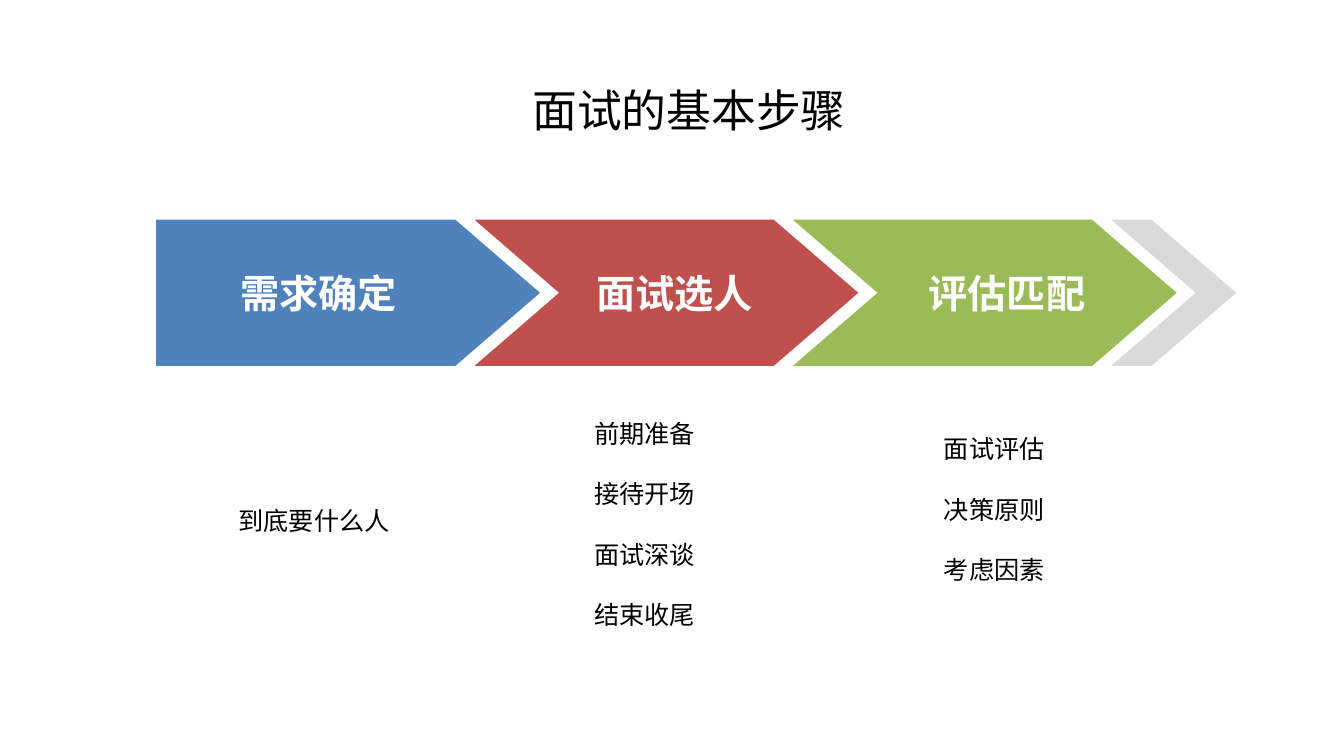
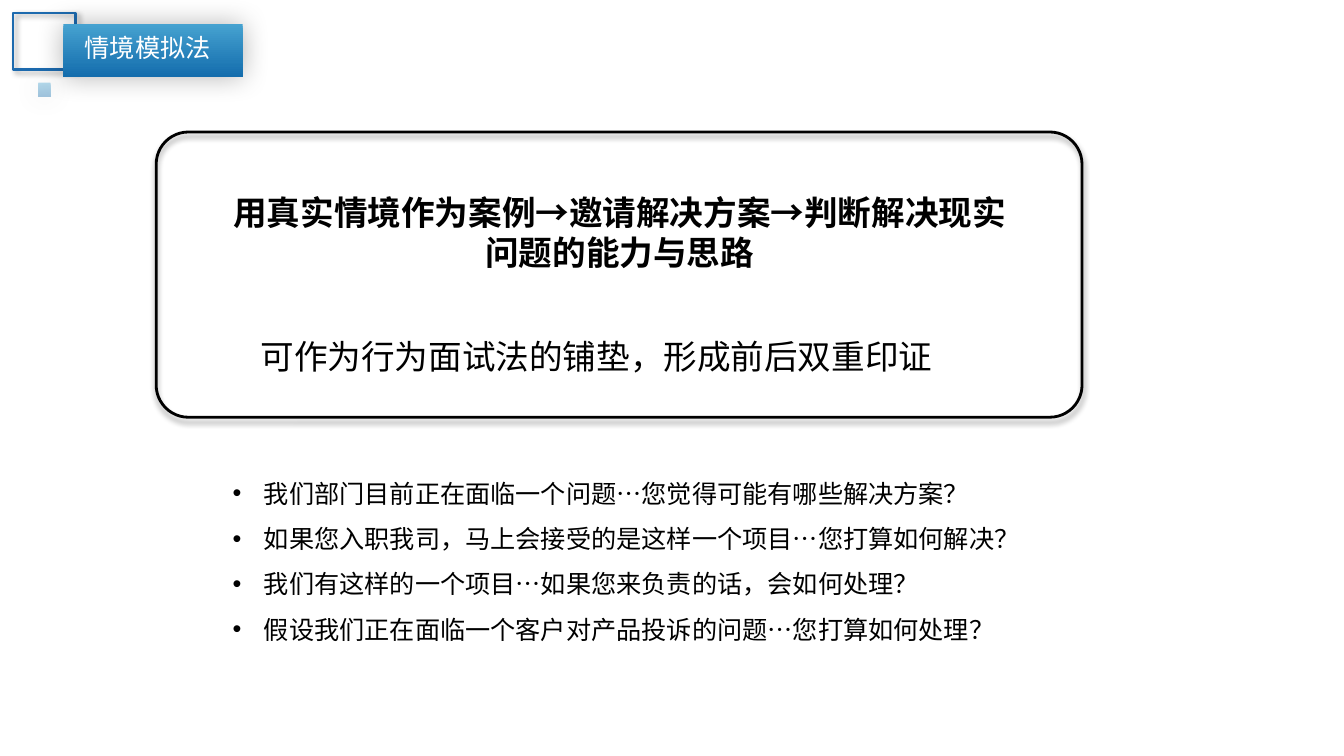
from dataclasses import dataclass

from lxml.etree import SubElement
from pptx import Presentation
from pptx.dml.color import RGBColor
from pptx.enum.lang import MSO_LANGUAGE_ID
from pptx.enum.shapes import MSO_SHAPE
from pptx.enum.text import MSO_ANCHOR, MSO_AUTO_SIZE, PP_ALIGN
from pptx.oxml.ns import qn
from pptx.util import Inches, Pt


@dataclass(frozen=True)
class Theme:
    font: str = "Noto Sans CJK SC"
    label_font: str = "Arial"
    ink: str = "000000"
    white: str = "FFFFFF"
    tail: str = "D9D9D9"
    outline: str = "1D6AAE"
    gradient: tuple = ("46A2D0", "146DAD")
    title_size: int = 32
    label_size: int = 28
    statement_size: int = 24
    body_size: int = 18


@dataclass(frozen=True)
class Step:
    label: str
    color: str
    details: tuple
    label_offset: float
    detail_box: tuple  # offset from the arrow's left and top, width, height


THEME = Theme()
TITLE_ONLY, TITLE_AND_CONTENT = 5, 1
STEPS = (
    Step("需求确定", "4F81BD", ("到底要什么人",), 0.73, (0.72, 2.48, 1.72, 0.71)),
    Step("面试选人", "C0504D", ("前期准备", "接待开场", "面试深谈", "结束收尾"),
         1.1, (1.09, 1.62, 1.34, 2.43)),
    Step("评估匹配", "9BBB59", ("面试评估", "决策原则", "考虑因素"),
         1.24, (1.4, 1.77, 1.34, 1.83)),
)
QUESTIONS = (
    "我们部门目前正在面临一个问题…您觉得可能有哪些解决方案？",
    "如果您入职我司，马上会接受的是这样一个项目…您打算如何解决？",
    "我们有这样的一个项目…如果您来负责的话，会如何处理？",
    "假设我们正在面临一个客户对产品投诉的问题…您打算如何处理？",
)


def inches(*values):
    return [Inches(value) for value in values]


def place(shape, left, top, width, height):
    shape.left, shape.top, shape.width, shape.height = inches(left, top, width, height)


def add_bullet(para, indent=0.31):
    properties = para._p.get_or_add_pPr()
    properties.set("marL", str(Inches(indent)))
    properties.set("indent", str(-Inches(indent)))
    SubElement(properties, qn("a:buFont")).set("typeface", "Arial")
    SubElement(properties, qn("a:buChar")).set("char", "•")


def write_text(box, *lines, size=THEME.body_size, color=THEME.ink, font=THEME.font,
               bold=False, align=PP_ALIGN.LEFT, spacing=1.0, bullets=False,
               anchor=MSO_ANCHOR.TOP):
    frame = box.text_frame
    frame.word_wrap = True
    frame.auto_size = MSO_AUTO_SIZE.NONE
    frame.vertical_anchor = anchor
    for index, line in enumerate(lines):
        para = frame.add_paragraph() if index else frame.paragraphs[0]
        para.alignment = align
        para.line_spacing = spacing
        para.space_before = Pt(0)
        if bullets:
            add_bullet(para)
        span = para.add_run()
        span.text = line
        span.font.name = font
        span.font.size = Pt(size)
        span.font.bold = bold
        span.font.color.rgb = RGBColor.from_string(color)
        span.font.language_id = MSO_LANGUAGE_ID.SIMPLIFIED_CHINESE
        SubElement(span.font._element, qn("a:ea")).set("typeface", THEME.font)


def add_text(page, area, *lines, **style):
    write_text(page.shapes.add_textbox(*inches(*area)), *lines, **style)


def add_shadow(shape, opacity, blur, distance=0, angle=0):
    """Opacity in percent, blur and distance in points, angle in degrees."""
    shape.shadow.inherit = False
    effects = shape.element.spPr.find(qn("a:effectLst"))
    shadow = SubElement(effects, qn("a:outerShdw"), blurRad=str(Pt(blur)),
                        dist=str(Pt(distance)), dir=str(angle * 60000),
                        algn="ctr", rotWithShape="0")
    tone = SubElement(shadow, qn("a:srgbClr"), val=THEME.ink)
    SubElement(tone, qn("a:alpha"), val=str(opacity * 1000))


def add_frame(page, kind, area, color):
    frame = page.shapes.add_shape(kind, *inches(*area))
    frame.fill.background()
    frame.line.color.rgb = RGBColor.from_string(color)
    frame.line.width = Pt(2)
    return frame


def add_gradient_block(page, area, opacity=100):
    block = page.shapes.add_shape(MSO_SHAPE.RECTANGLE, *inches(*area))
    block.line.fill.background()
    block.fill.gradient()
    block.fill.gradient_angle = 270
    for stop, color in zip(block.fill.gradient_stops, THEME.gradient):
        stop.color.rgb = RGBColor.from_string(color)
    if opacity < 100:
        for tone in block.element.spPr.find(qn("a:gradFill")).iter(qn("a:srgbClr")):
            SubElement(tone, qn("a:alpha"), val=str(opacity * 1000))
    add_shadow(block, 30, 20)


def add_arrow(page, left, top, width, height, color, notched=True, point=0.84):
    right, middle, bottom = left + width, top + height / 2, top + height
    corners = [(right - point, top), (right, middle), (right - point, bottom), (left, bottom)]
    if notched:
        corners.append((left + point, middle))
    builder = page.shapes.build_freeform(*inches(left, top))
    builder.add_line_segments([inches(*corner) for corner in corners])
    arrow = builder.convert_to_shape()
    arrow.shadow.inherit = False
    arrow.fill.solid()
    arrow.fill.fore_color.rgb = RGBColor.from_string(color)
    arrow.line.fill.background()


def add_process(page, left, top, pitch=3.16, width=3.81, height=1.45):
    for index, step in enumerate(STEPS):
        start = left + index * pitch
        add_arrow(page, start, top, width, height, step.color, notched=index > 0)
        add_text(page, (start + step.label_offset, top + 0.44, 1.77, 0.57), step.label,
                 size=THEME.label_size, color=THEME.white, font=THEME.label_font,
                 bold=True, align=PP_ALIGN.CENTER)
        across, down, *size = step.detail_box
        add_text(page, (start + across, top + down, *size), *step.details, spacing=2.0)
    add_arrow(page, left + len(STEPS) * pitch, top, 1.24, height, THEME.tail)


def add_heading_tag(page, left, top, heading):
    square = add_frame(page, MSO_SHAPE.RECTANGLE, (left, top, 0.62, 0.56), THEME.outline)
    add_shadow(square, 30, 4, 3, 45)
    add_gradient_block(page, (left + 0.5, top + 0.11, 1.78, 0.52))
    add_gradient_block(page, (left + 0.25, top + 0.69, 0.12, 0.14), opacity=40)
    title = page.shapes.title
    place(title, left + 0.61, top + 0.14, 1.5, 0.4)
    write_text(title, heading, color=THEME.white)
    title.element.getparent().append(title.element)  # bring in front of the tag


def add_statement(page, left, top, width, height):
    frame = add_frame(page, MSO_SHAPE.ROUNDED_RECTANGLE, (left, top, width, height), THEME.ink)
    frame.adjustments[0] = 0.113
    add_shadow(frame, 40, 4, 3, 90)
    style = {"size": THEME.statement_size, "align": PP_ALIGN.CENTER}
    add_text(page, (left + 0.54, top + 0.54, 8.12, 0.91),
             "用真实情境作为案例→邀请解决方案→判断解决现实问题的能力与思路", bold=True, **style)
    add_text(page, (left + 0.31, top + 1.97, 8.12, 0.5),
             "可作为行为面试法的铺垫，形成前后双重印证", **style)


def build_steps_page(deck):
    page = deck.slides.add_slide(deck.slide_layouts[TITLE_ONLY])
    place(page.shapes.title, 0.84, 0.46, 12, 1.25)
    write_text(page.shapes.title, "面试的基本步骤", size=THEME.title_size,
               align=PP_ALIGN.CENTER, anchor=MSO_ANCHOR.MIDDLE)
    add_process(page, 1.55, 2.18)


def build_simulation_page(deck):
    page = deck.slides.add_slide(deck.slide_layouts[TITLE_AND_CONTENT])
    add_statement(page, 1.55, 1.31, 9.19, 2.83)
    add_heading_tag(page, 0.13, 0.13, "情境模拟法")
    questions = page.placeholders[1]
    place(questions, 2.21, 4.54, 9.21, 1.92)
    write_text(questions, *QUESTIONS, spacing=1.5, bullets=True)


def main():
    deck = Presentation()
    deck.slide_width, deck.slide_height = inches(13.34, 7.5)
    build_steps_page(deck)
    build_simulation_page(deck)
    deck.save("out.pptx")


if __name__ == "__main__":
    main()
